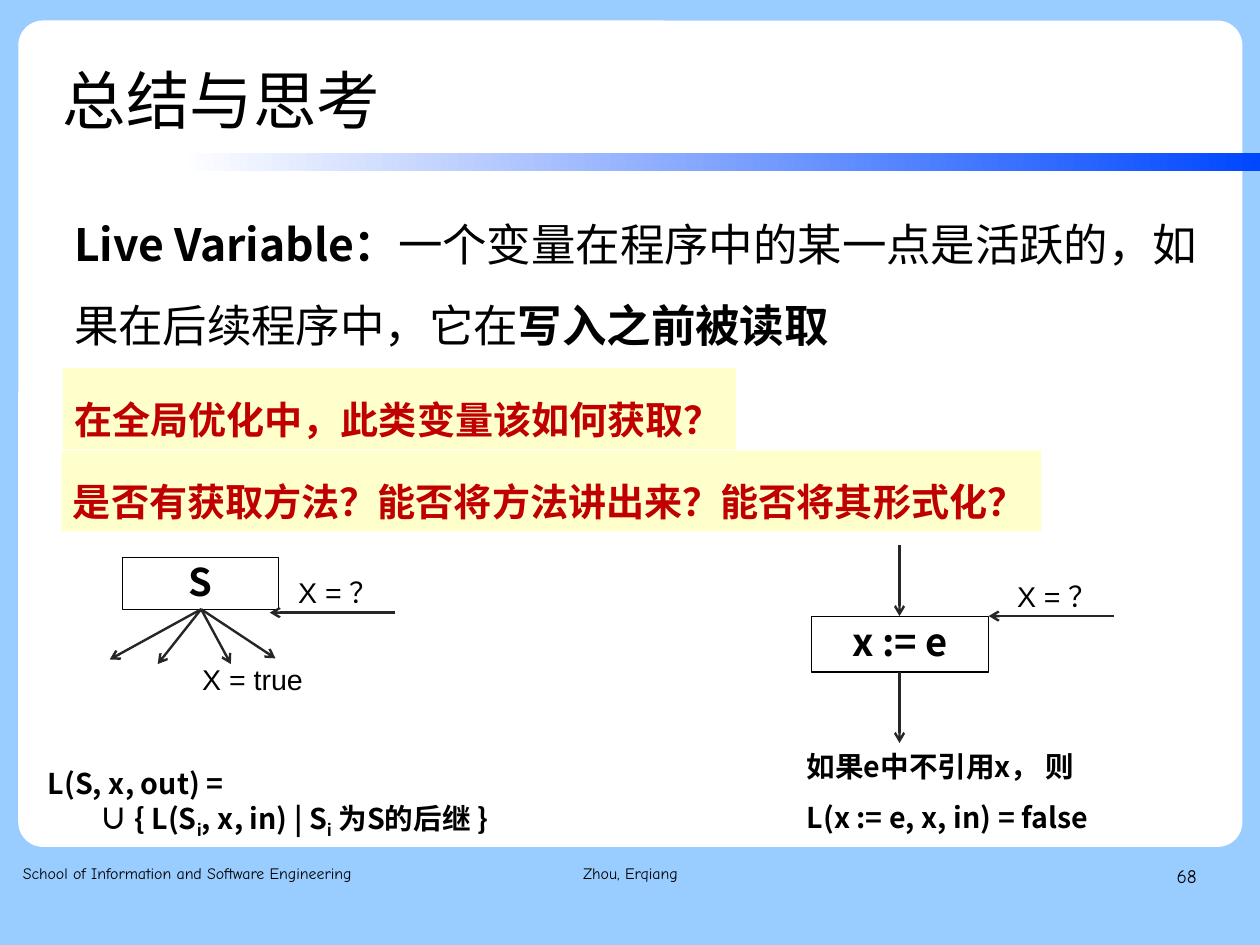
from lxml.etree import SubElement
from pptx import Presentation
from pptx.dml.color import RGBColor
from pptx.enum.shapes import MSO_CONNECTOR, MSO_SHAPE
from pptx.enum.text import MSO_ANCHOR, MSO_AUTO_SIZE, PP_ALIGN
from pptx.oxml.ns import qn
from pptx.util import Cm, Inches, Pt

CJK, LATIN, COMIC = "Noto Sans CJK SC", "Arial", "Comic Neue"
SUB = {"baseline": "-25000"}
BOLD = {"bold": True}

TITLE = "总结与思考"
FOOTERS = [
    ((0.2, 7.53, 3.34, 0.57), "School of Information and Software Engineering", 10, PP_ALIGN.LEFT),
    ((7.9, 7.53, 2.57, 0.57), "68", 12, PP_ALIGN.RIGHT),
    ((3.77, 7.53, 3.49, 0.57), "Zhou, Erqiang", 10, PP_ALIGN.CENTER),
]
DEFINITION = [
    ("Live Variable：", BOLD),
    ("一个变量在程序中的某一点是活跃的，如果在后续程序中，它在", {}),
    ("写入之前被读取", BOLD),
]
QUESTIONS = [
    ((0.55, 3.22, 5.89, 0.71), "在全局优化中，此类变量该如何获取？"),
    ((0.54, 3.94, 8.57, 0.71), "是否有获取方法？能否将方法讲出来？能否将其形式化？"),
]
STATEMENTS = [
    ((1.07, 4.88, 1.37, 0.45), "S"),
    ((7.1, 5.39, 1.55, 0.49), "x := e"),
]
LABELS = [
    ((1.67, 5.77), "X = true"),
    ((2.51, 5.01), "X = ？"),
    ((8.8, 5.04), "X = ？"),
]
SUCCESSOR_RULE = [
    [("L(S, x, out) =", {})],
    [("∪ { L(S", {}), ("i", SUB), (", x, in) | S", {}), ("i", SUB), (" 为S的后继 }", {})],
]
ASSIGNMENT_RULE = [
    [("如果e中不引用x， 则", {})],
    [("L(x := e, x, in) = false", {})],
]
BRANCH_START = (1.76, 5.33)
BRANCH_ENDS = [(0.96, 5.77), (1.38, 5.81), (2.02, 5.81), (2.41, 5.76)]
ARROWS = [(BRANCH_START, end) for end in BRANCH_ENDS] + [
    ((3.46, 5.36), (2.36, 5.36)),
    ((9.75, 5.39), (8.65, 5.39)),
    ((7.87, 4.77), (7.87, 5.39)),
    ((7.87, 5.88), (7.87, 6.5)),
]


def color(hex_string):
    return RGBColor.from_string(hex_string)


def write(shape, content, size=18, font=CJK, ink="000000", bold=False, align=PP_ALIGN.LEFT,
          spacing=0.93, anchor=MSO_ANCHOR.TOP, wrap=True, grow=False, inset=True, indents=()):
    frame = shape.text_frame
    frame.word_wrap = wrap
    frame.auto_size = MSO_AUTO_SIZE.SHAPE_TO_FIT_TEXT if grow else MSO_AUTO_SIZE.NONE
    frame.vertical_anchor = anchor
    if not inset:
        frame.margin_left = frame.margin_right = frame.margin_top = frame.margin_bottom = 0
    lines = [[(content, {})]] if isinstance(content, str) else content
    for number, pieces in enumerate(lines):
        paragraph = frame.add_paragraph() if number else frame.paragraphs[0]
        paragraph.alignment = align
        paragraph.line_spacing = spacing
        if indents:
            properties = paragraph._p.get_or_add_pPr()
            properties.set("marL", str(Inches(indents[number])))
            properties.set("indent", "0")
        for words, change in pieces:
            run = paragraph.add_run()
            run.text = words
            run.font.size = Pt(size)
            run.font.bold = change.get("bold", bold)
            run.font.color.rgb = color(ink)
            run.font.name = font
            properties = run._r.get_or_add_rPr()
            SubElement(properties, qn("a:ea")).set("typeface", font)
            if "baseline" in change:
                properties.set("baseline", change["baseline"])


def add_box(slide, place, fill, outline=None, preset=MSO_SHAPE.RECTANGLE):
    box = slide.shapes.add_shape(preset, *map(Inches, place))
    box.shadow.inherit = False
    box.fill.solid()
    box.fill.fore_color.rgb = color(fill)
    if outline:
        box.line.color.rgb = color(outline)
        box.line.width = Pt(0.75)
    else:
        box.line.fill.background()
    return box


def add_text(slide, place, content, **style):
    write(slide.shapes.add_textbox(*map(Inches, place)), content, **style)


def add_arrow(slide, start, end):
    arrow = slide.shapes.add_connector(MSO_CONNECTOR.STRAIGHT, *map(Inches, start + end))
    arrow.line.color.rgb = color("262626")
    arrow.line.width = Pt(1.5)
    properties = arrow._element.spPr
    SubElement(properties.find(qn("a:ln")), qn("a:tailEnd")).set("type", "arrow")
    SubElement(properties, qn("a:effectLst"))


def add_frame(slide):
    slide.background.fill.solid()
    slide.background.fill.fore_color.rgb = color("99CCFF")
    panel = add_box(slide, (0.16, 0.18, 10.71, 7.23), "FFFFFF", preset=MSO_SHAPE.ROUNDED_RECTANGLE)
    panel.adjustments[0] = 0.03
    rule = add_box(slide, (1.57, 1.34, 9.45, 0.16), "FFFFFF")
    rule.fill.gradient()
    rule.fill.gradient_angle = 0
    for stop, shade in zip(rule.fill.gradient_stops, ("FFFFFF", "0047FF")):
        stop.color.rgb = color(shade)
    for place, words, size, align in FOOTERS:
        add_text(slide, place, words, size=size, font=COMIC, align=align, spacing=1.16, inset=False)


def add_title(slide):
    title = slide.shapes.title
    title.left, title.top, title.width, title.height = map(Inches, (0.55, 0.33, 8.58, 1.01))
    write(title, TITLE, size=40, spacing=1.1, anchor=MSO_ANCHOR.MIDDLE, inset=False)
    slide.shapes._spTree.append(title._element)


def main():
    deck = Presentation()
    deck.slide_width, deck.slide_height = Cm(28), Cm(21)
    slide = deck.slides.add_slide(deck.slide_layouts[5])
    add_frame(slide)
    add_title(slide)
    add_text(slide, (0.55, 1.62, 10.1, 1.51), [DEFINITION], size=28, spacing=1.5, grow=True)
    for place, question in QUESTIONS:
        write(add_box(slide, place, "FFFFCC"), question, size=24, ink="C00000", bold=True,
              spacing=1.5, wrap=False, grow=True)
    for place, statement in STATEMENTS:
        write(add_box(slide, place, "FFFFFF", "000000"), statement, size=24, bold=True,
              align=PP_ALIGN.CENTER, anchor=MSO_ANCHOR.MIDDLE)
    for start, end in ARROWS:
        add_arrow(slide, start, end)
    for corner, label in LABELS:
        add_text(slide, corner + (1.26, 0.38), label, font=LATIN, grow=True)
    add_text(slide, (0.32, 6.68, 5.49, 0.66), SUCCESSOR_RULE, bold=True, grow=True, indents=(0, 0.45))
    add_text(slide, (6.96, 6.35, 3.36, 1.01), ASSIGNMENT_RULE, bold=True, spacing=1.5,
             wrap=False, grow=True)
    deck.save("out.pptx")


if __name__ == "__main__":
    main()
